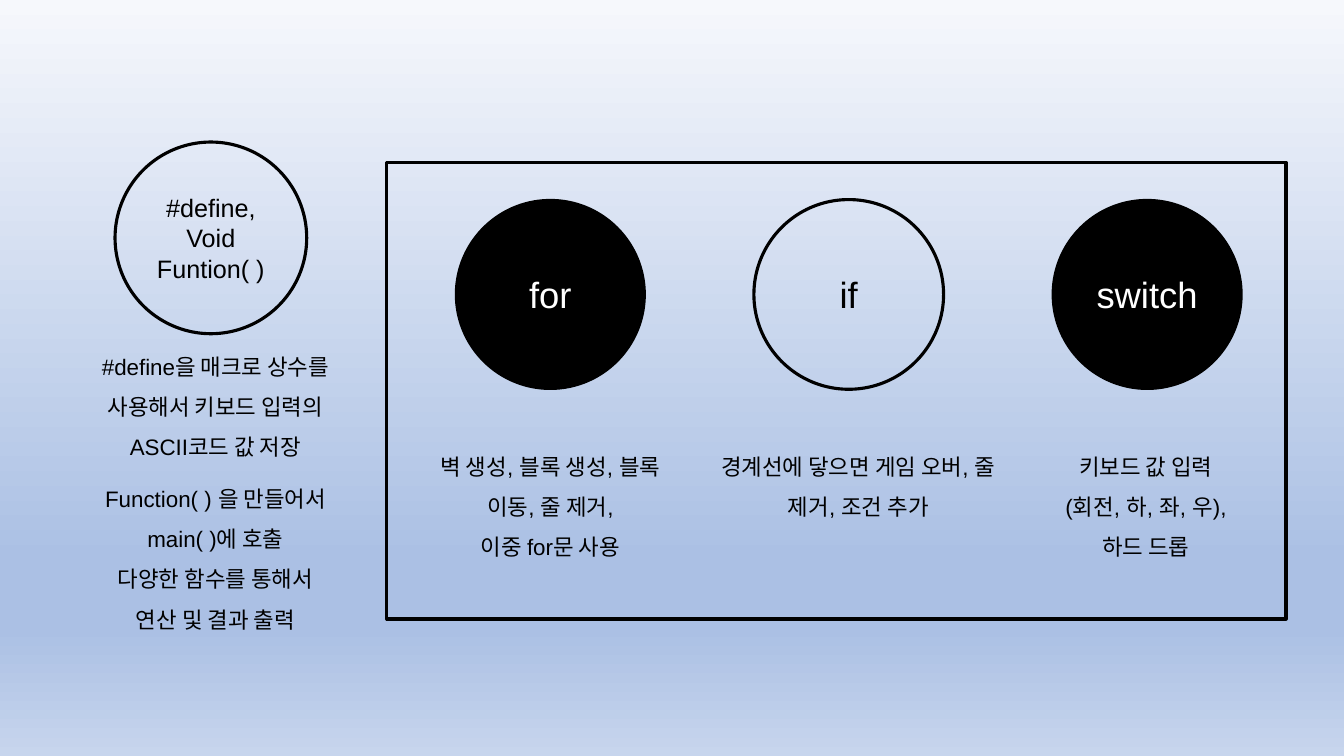
from pptx import Presentation
from pptx.dml.color import RGBColor
from pptx.enum.shapes import MSO_SHAPE as SHAPE
from pptx.enum.text import MSO_ANCHOR as ANCHOR, PP_ALIGN as ALIGN
from pptx.oxml import parse_xml
from pptx.oxml.ns import nsdecls, qn
from pptx.util import Cm, Pt

BLACK, WHITE = "000000", "FFFFFF"
SKY = [(0, "F6F8FC"), (74, "ABC0E4"), (83, "ABC0E4"), (100, "C7D5ED")]


def add_outline(kind, left, top, width, height, fill=None, weight=2.25):
    sp = s.shapes.add_shape(kind, Cm(left), Cm(top), Cm(width), Cm(height))
    sp.shadow.inherit = False
    if fill:
        sp.fill.solid()
        sp.fill.fore_color.rgb = RGBColor.from_string(fill)
    else:
        sp.fill.background()
    sp.line.color.rgb = RGBColor.from_string(BLACK)
    sp.line.width = Pt(weight)
    return sp


def write(sp, lines, size, color=BLACK, spacing=None):
    """Fill a shape with centred paragraphs; a newline inside one is a line break."""
    tf = sp.text_frame
    tf.word_wrap = True
    for i, line in enumerate(lines):
        p = tf.add_paragraph() if i else tf.paragraphs[0]
        p.text = line
        p.alignment = ALIGN.CENTER
        p.line_spacing = spacing
        p.font.name = "Arial"
        p.font.size = Pt(size)
        p.font.color.rgb = RGBColor.from_string(color)


prs = Presentation()
prs.slide_width, prs.slide_height = Cm(33.87), Cm(19.05)
s = prs.slides.add_slide(prs.slide_layouts[6])

# Background gradient, light at the top
bg = s.background.fill
bg.gradient()
bg.gradient_angle = 270
stops = next(s.element.iter(qn("a:gsLst")))
for stop in list(stops):
    stops.remove(stop)
for pos, color in SKY:
    stops.append(parse_xml(
        f'<a:gs {nsdecls("a")} pos="{pos * 1000}"><a:srgbClr val="{color}"/></a:gs>'))

# Frame around the three statements
add_outline(SHAPE.RECTANGLE, 9.75, 4.09, 22.66, 11.51)

# Circles: left, top, diameter, fill, line weight, text size, lines
FIRST, STEP = 11.48, 7.52
circles = [(2.9, 3.58, 4.83, None, 2.25, 18, ["#define,", "Void Funtion( )"])]
for i, (word, fill, weight) in enumerate(
        [("for", BLACK, 1), ("if", None, 2.25), ("switch", BLACK, 1)]):
    circles.append((FIRST + i * STEP, 5.03, 4.78, fill, weight, 26, [word]))

for left, top, size, fill, weight, pt, lines in circles:
    sp = add_outline(SHAPE.OVAL, left, top, size, size, fill, weight)
    tf = sp.text_frame
    tf.margin_left = tf.margin_top = tf.margin_right = tf.margin_bottom = 0
    tf.vertical_anchor = ANCHOR.MIDDLE
    write(sp, lines, pt, WHITE if fill else BLACK)

# Descriptions: left, top, width, height, paragraphs
descriptions = [
    (1.9, 8.43, 7.06, 3.33, ["#define을 매크로 상수를 사용해서 키보드 입력의 ASCII코드 값 저장"]),
    (1.9, 11.76, 7.06, 4.37, ["Function( ) 을 만들어서 main( )에 호출",
                              "다양한 함수를 통해서\n연산 및 결과 출력"]),
    (10.34, 10.95, 7.06, 3.33, ["벽 생성, 블록 생성, 블록 이동, 줄 제거,", "이중 for문 사용"]),
    (17.91, 10.95, 7.44, 2.31, ["경계선에 닿으면 게임 오버, 줄 제거, 조건 추가"]),
    (25.35, 10.95, 7.06, 3.33, ["키보드 값 입력\n(회전, 하, 좌, 우),\n하드 드롭"]),
]
for left, top, width, height, lines in descriptions:
    box = s.shapes.add_textbox(Cm(left), Cm(top), Cm(width), Cm(height))
    write(box, lines, 16, spacing=1.5)

prs.save("out.pptx")
